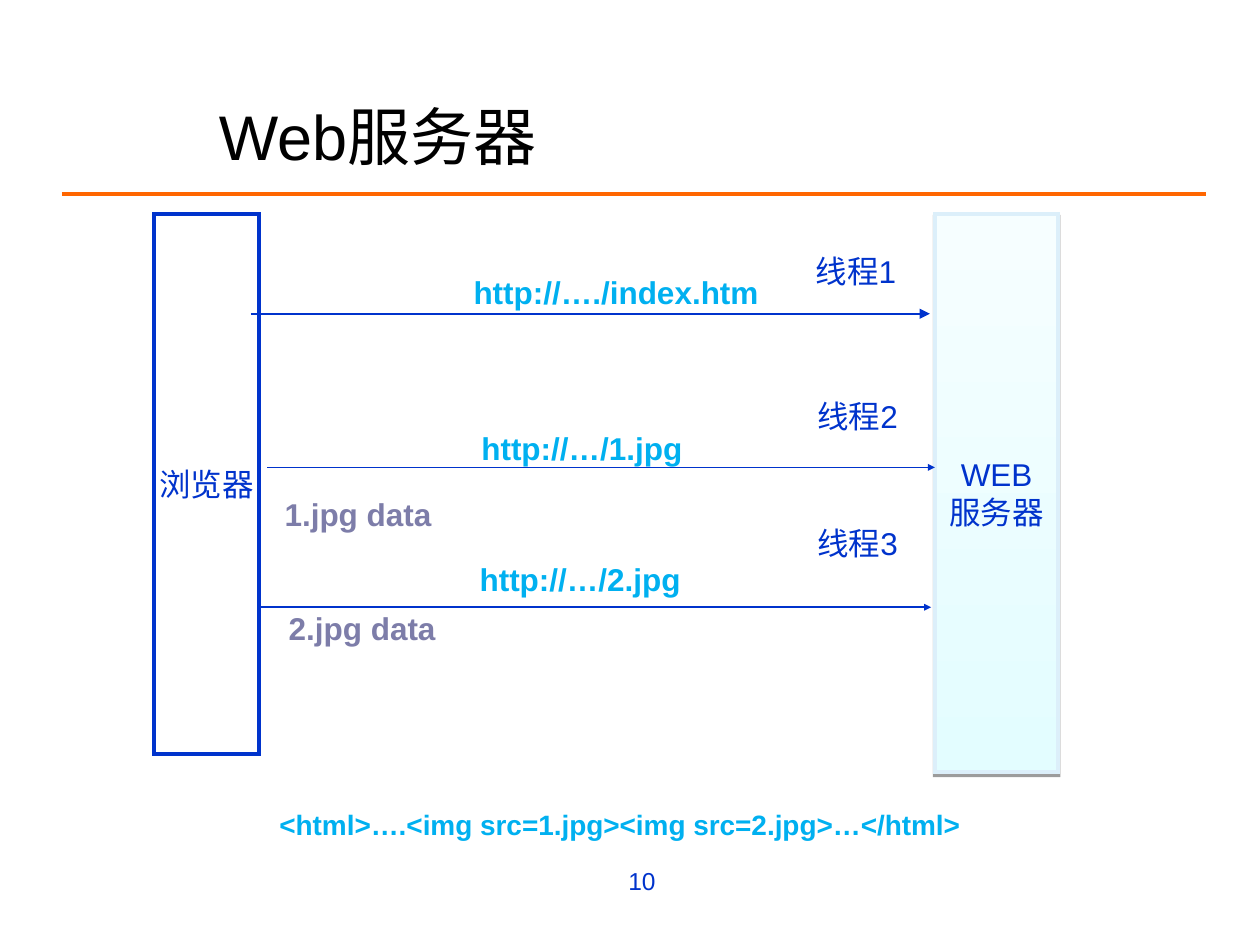
from lxml.etree import SubElement as Sub
from pptx import Presentation
from pptx.dml.color import RGBColor as RGB
from pptx.enum.shapes import MSO_CONNECTOR as Conn, MSO_SHAPE as Kind
from pptx.enum.text import (
    MSO_ANCHOR as Anchor, MSO_AUTO_SIZE as Fit, PP_ALIGN as Align)
from pptx.oxml.ns import qn
from pptx.util import Pt

BLUE, SKY, GREY = "0033CC", "00B0F0", "7D7DA9"

deck = Presentation()
deck.slide_width, deck.slide_height = Pt(720), Pt(540)
slide = deck.slides.add_slide(deck.slide_layouts[6])
shapes = slide.shapes


def write(shape, text, size, color, bold=False, align=Align.LEFT, wrap=True):
    """Fill the shape with one paragraph, with a line break at each newline."""
    frame = shape.text_frame
    frame.word_wrap = wrap
    para = frame.paragraphs[0]
    para.alignment = align
    for i, part in enumerate(text.split("\n")):
        if i:
            para.add_line_break()
        run = para.add_run()
        run.text = part
        font = run.font
        font.name, font.size, font.bold = "Arial", Pt(size), bold
        font.color.rgb = RGB.from_string(color)
    return frame


def draw(x1, x2, y, color, width, head=None):
    """Draw a level line, with an arrowhead of the given size at its end."""
    line = shapes.add_connector(Conn.STRAIGHT, Pt(x1), Pt(y), Pt(x2), Pt(y))
    line.line.color.rgb = RGB.from_string(color)
    line.line.width = Pt(width)
    if head:
        Sub(line.line._get_or_add_ln(), qn("a:tailEnd"),
            type="triangle", w=head, len=head)
    Sub(line._element.spPr, qn("a:effectLst"))


# Title and page number
draw(35.3, 689, 110.9, "FF6600", 2.25)
title = shapes.add_textbox(Pt(118), Pt(54.4), Pt(523), Pt(46))
write(title, "Web服务器", 36, "000000").vertical_anchor = Anchor.MIDDLE
page = shapes.add_textbox(Pt(201), Pt(491.4), Pt(180.7), Pt(37.4))
write(page, "10", 14, BLUE, align=Align.RIGHT)

# Browser and server
bars = [
    ("浏览器", 88, 60, 308.6, BLUE, 2),
    ("WEB\n服务器", 534.2, 70.6, 319, "DCEFFA", 2.25),
]
for text, x, w, h, edge, width in bars:
    bar = shapes.add_shape(Kind.RECTANGLE, Pt(x), Pt(122.4), Pt(w), Pt(h))
    bar.shadow.inherit = False
    bar.fill.solid()
    bar.fill.fore_color.rgb = RGB.from_string("FFFFFF")
    bar.line.color.rgb = RGB.from_string(edge)
    bar.line.width = Pt(width)
    Sub(bar.line._get_or_add_ln(), qn("a:miter"), lim="800000")
    frame = write(bar, text, 18, BLUE, align=Align.CENTER, wrap=False)
    frame.vertical_anchor = Anchor.MIDDLE

# The server, last in the loop, has a gradient and a shadow below
bar.fill.gradient()
bar.fill.gradient_angle = 90
for stop, color in zip(bar.fill.gradient_stops, ("E3FDFF", "F6FEFF")):
    stop.color.rgb = RGB.from_string(color)
effects = bar._element.spPr.find(qn("a:effectLst"))
shade = Sub(effects, qn("a:outerShdw"), blurRad="0", dist=str(Pt(1.6)),
            dir="5400000", rotWithShape="0")
black = Sub(shade, qn("a:srgbClr"), val="000000")
Sub(black, qn("a:alpha"), val="38000")

# Requests
arrows = [
    (143.3, 531.4, 179.3, "med"),
    (152.6, 534.2, 267.1, "sm"),
    (146.9, 532.1, 347, "sm"),
]
for x1, x2, y, head in arrows:
    draw(x1, x2, y, BLUE, 1, head)

# Labels: text, left, top, width, size, colour, bold, wrap
labels = [
    ("http://…./index.htm", 263.5, 152.6, 178, 18, SKY, True, False),
    ("http://…/1.jpg", 268, 241.4, 130, 18, SKY, True, False),
    ("http://…/2.jpg", 267, 316.4, 130, 18, SKY, True, False),
    ("<html>….<img src=1.jpg><img src=2.jpg>…</html>",
     152.6, 458, 404, 16, SKY, True, False),
    ("1.jpg data", 155.5, 279.6, 372, 18, GREY, True, True),
    ("2.jpg data", 157.9, 344.5, 382, 18, GREY, True, True),
    ("线程1", 459, 140.4, 97, 18, BLUE, False, True),
    ("线程2", 460, 223.2, 97, 18, BLUE, False, True),
    ("线程3", 460, 296, 97, 18, BLUE, False, True),
]
for text, x, y, w, size, color, bold, wrap in labels:
    box = shapes.add_textbox(Pt(x), Pt(y), Pt(w), Pt(28.8))
    frame = write(box, text, size, color, bold, wrap=wrap)
    frame.auto_size = Fit.SHAPE_TO_FIT_TEXT

deck.save("out.pptx")
